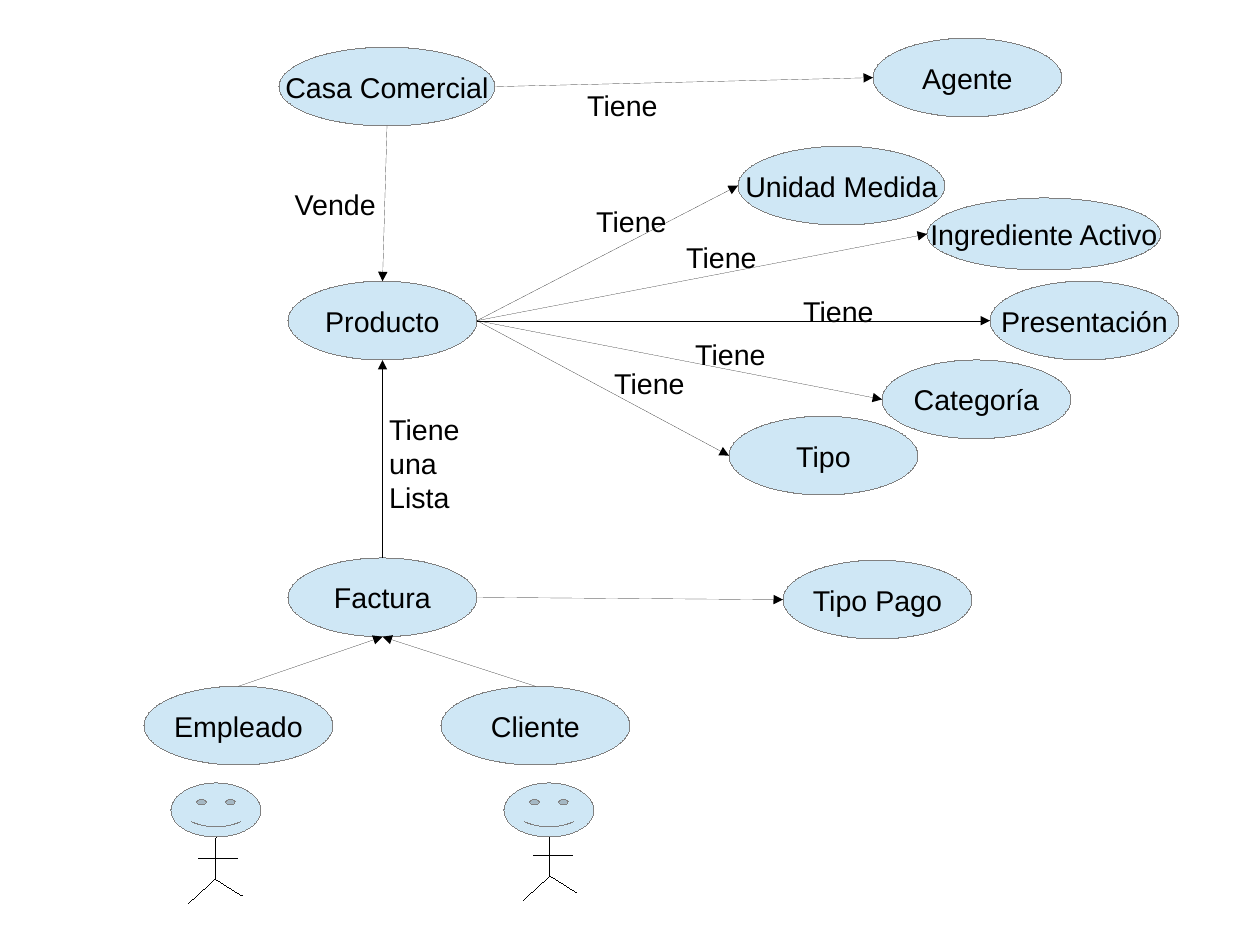
from pptx import Presentation
from pptx.dml.color import RGBColor
from pptx.enum.shapes import MSO_CONNECTOR as Link, MSO_SHAPE as Shape
from pptx.enum.text import MSO_ANCHOR as Anchor, MSO_AUTO_SIZE as AutoSize, PP_ALIGN as Align
from pptx.oxml.ns import qn
from pptx.util import Cm, Pt
from lxml import etree

PALE_BLUE = RGBColor(0xCF, 0xE7, 0xF5)
GRAY = RGBColor(0x80, 0x80, 0x80)
BLACK = RGBColor(0, 0, 0)
HAIRLINE = "0"  # written in XML, as a width of Pt(0) would be dropped

deck = Presentation()
deck.slide_width, deck.slide_height = Cm(28), Cm(21)
page = deck.slides.add_slide(deck.slide_layouts[6])


def write(box, text, align=Align.LEFT, anchor=Anchor.TOP, wrap=True, size=18, color=BLACK):
    frame = box.text_frame
    frame.word_wrap = wrap
    frame.vertical_anchor = anchor
    para = frame.paragraphs[0]
    para.alignment = align
    span = para.add_run()
    span.text = text
    span.font.name = "Arial"
    span.font.size = Pt(size)
    span.font.color.rgb = color


def draw_line(start, end, arrow=False):
    line = page.shapes.add_connector(Link.STRAIGHT, *start, *end)
    line.line.color.rgb = BLACK
    outline = line._element.spPr.find(qn("a:ln"))
    outline.set("w", HAIRLINE)
    if arrow:
        etree.SubElement(outline, qn("a:tailEnd"), type="triangle")
    etree.SubElement(line._element.spPr, qn("a:effectLst"))


# Concepts and faces: kind, name, left, top, width, height
ELLIPSE, FACE = Shape.OVAL, Shape.SMILEY_FACE
figures = [
    (ELLIPSE, "Casa Comercial", 6.2, 1.05, 4.8, 1.75),
    (ELLIPSE, "Agente", 19.4, 0.85, 4.2, 1.75),
    (ELLIPSE, "Producto", 6.4, 6.25, 4.2, 1.75),
    (ELLIPSE, "Presentación", 22, 6.25, 4.2, 1.75),
    (ELLIPSE, "Factura", 6.4, 12.4, 4.2, 1.75),
    (ELLIPSE, "Categoría", 19.6, 8, 4.2, 1.75),
    (ELLIPSE, "Ingrediente Activo", 20.6, 4.4, 5.2, 1.6),
    (ELLIPSE, "Tipo", 16.2, 9.25, 4.2, 1.75),
    (ELLIPSE, "Unidad Medida", 16.4, 3.25, 4.6, 1.75),
    (ELLIPSE, "Cliente", 9.8, 15.25, 4.2, 1.75),
    (ELLIPSE, "Tipo Pago", 17.4, 12.45, 4.2, 1.75),
    (ELLIPSE, "Empleado", 3.2, 15.25, 4.2, 1.75),
    (FACE, "", 3.8, 17.4, 2, 1.2),
    (FACE, "", 11.2, 17.4, 2, 1.2),
]
sides = {}
for kind, name, left, top, width, height in figures:
    figure = page.shapes.add_shape(kind, Cm(left), Cm(top), Cm(width), Cm(height))
    figure.shadow.inherit = False
    figure.fill.solid()
    figure.fill.fore_color.rgb = PALE_BLUE
    figure.line.color.rgb = GRAY
    figure._element.spPr.find(qn("a:ln")).set("w", HAIRLINE)
    if kind == FACE:
        continue
    write(figure, name, align=Align.CENTER, anchor=Anchor.MIDDLE, wrap=False)
    middle_x, middle_y = Cm(left + width / 2), Cm(top + height / 2)
    sides[name] = {
        "top": (middle_x, Cm(top)),
        "bottom": (middle_x, Cm(top + height)),
        "left": (Cm(left), middle_y),
        "right": (Cm(left + width), middle_y),
    }

# Relations between concepts
relations = [
    ("Casa Comercial", "right", "Agente", "left"),
    ("Casa Comercial", "bottom", "Producto", "top"),
    ("Producto", "right", "Unidad Medida", "left"),
    ("Producto", "right", "Ingrediente Activo", "left"),
    ("Producto", "right", "Presentación", "left"),
    ("Producto", "right", "Categoría", "left"),
    ("Producto", "right", "Tipo", "left"),
    ("Factura", "top", "Producto", "bottom"),
    ("Empleado", "top", "Factura", "bottom"),
    ("Cliente", "top", "Factura", "bottom"),
    ("Factura", "right", "Tipo Pago", "left"),
]
for source, source_side, target, target_side in relations:
    draw_line(sides[source][source_side], sides[target][target_side], arrow=True)

# Relation labels: text, left, top, width, height
labels = [("Tiene", left, top, 2.2, 0.96) for left, top in [
    (13.4, 8), (15.2, 7.37), (17.6, 6.4), (15, 5.2), (13, 4.4), (12.8, 1.83)]]
labels += [("Vende", 6.3, 4.04, 2.7, 0.96), ("Tiene una Lista", 8.4, 9.02, 2.6, 2.4)]
for text, left, top, width, height in labels:
    label = page.shapes.add_textbox(Cm(left), Cm(top), Cm(width), Cm(height))
    write(label, text)
    label.text_frame.auto_size = AutoSize.SHAPE_TO_FIT_TEXT

# Stick bodies under the faces: neck and hip, with limbs measured from the hip
limbs = [((-0.37, -0.45), (0.5, -0.45)), ((0, 0), (0.6, 0.38)), ((0, 0), (-0.59, 0.54))]
for neck_x, hip_x, hip_y in [(4.8, 4.78, 19.53), (12.2, 12.22, 19.46)]:
    draw_line((Cm(neck_x), Cm(18.6)), (Cm(hip_x), Cm(hip_y)))
    for limb in limbs:
        draw_line(*[(Cm(hip_x + x), Cm(hip_y + y)) for x, y in limb])

deck.save("out.pptx")
